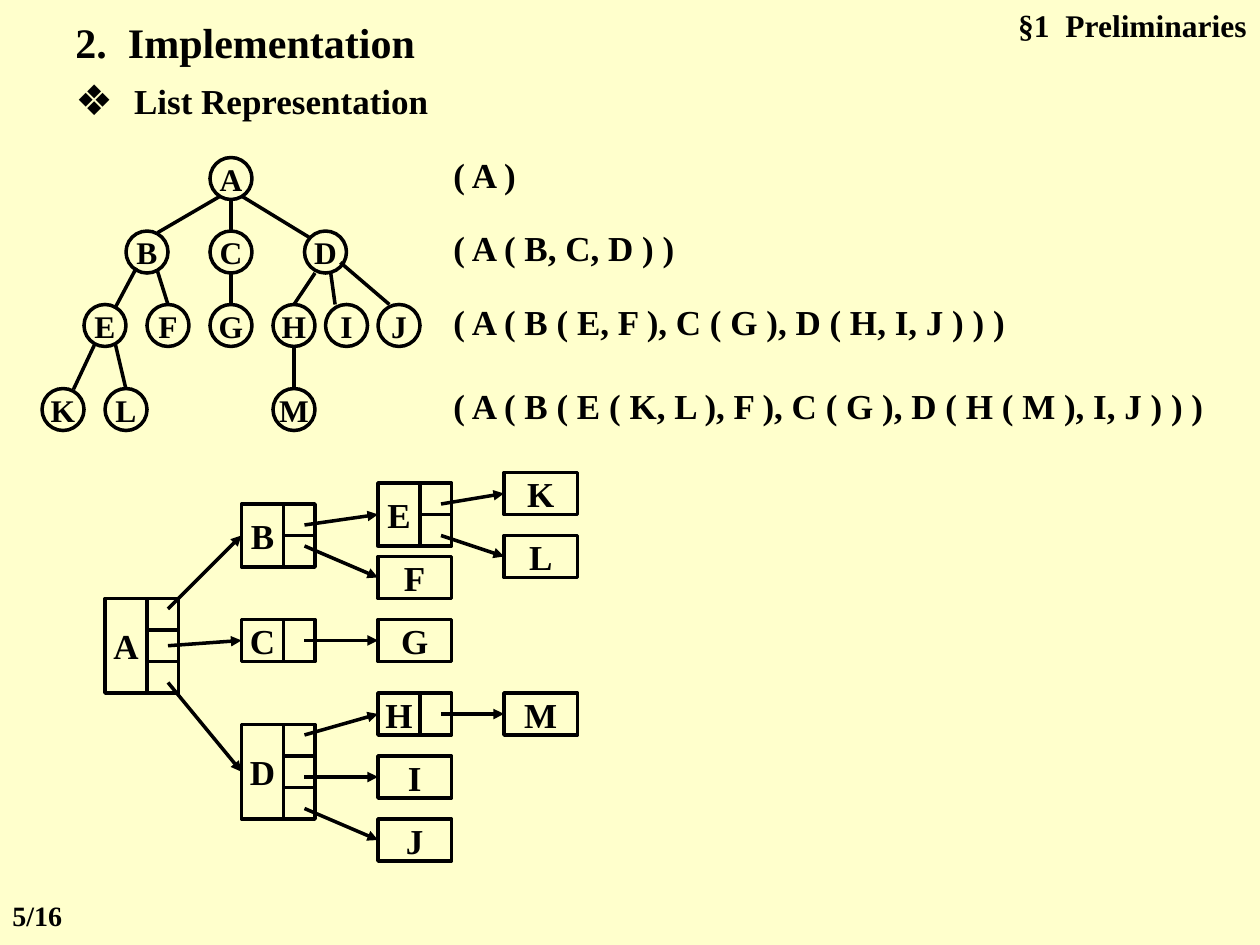
from typing import NamedTuple

from lxml import etree
from pptx import Presentation
from pptx.dml.color import RGBColor
from pptx.enum.shapes import MSO_CONNECTOR, MSO_SHAPE
from pptx.enum.text import MSO_ANCHOR, MSO_AUTO_SIZE, PP_ALIGN
from pptx.oxml.ns import qn
from pptx.util import Pt

STRAIGHT = MSO_CONNECTOR.STRAIGHT
OVAL = MSO_SHAPE.OVAL
RECTANGLE = MSO_SHAPE.RECTANGLE
MIDDLE = MSO_ANCHOR.MIDDLE
FIT_TEXT = MSO_AUTO_SIZE.SHAPE_TO_FIT_TEXT
LEFT, CENTER, RIGHT = PP_ALIGN.LEFT, PP_ALIGN.CENTER, PP_ALIGN.RIGHT

BLACK = RGBColor(0x00, 0x00, 0x00)
CREAM = RGBColor(0xFF, 0xFF, 0xCC)
FONT = "Times New Roman"
LINE_WIDTH = 2
NODE_SIZE = 24
LABEL_WIDTH = 24
CELL_WIDTH = 18
CELL_HEIGHT = 18
LEAF_HEIGHT = 24
LINK_INSET = 12
LEFT_SIDE = 1


class TreeNode(NamedTuple):
    label: str
    left: float
    top: float


class Edge(NamedTuple):
    x1: float
    y1: float
    x2: float
    y2: float


class ListNode(NamedTuple):
    label: str
    left: float
    top: float
    cells: int = 0

    @property
    def height(self) -> float:
        return max(LEAF_HEIGHT, self.cells * CELL_HEIGHT)


class Link(NamedTuple):
    parent: str
    child: str
    start_y: float


class Caption(NamedTuple):
    words: tuple[str, ...]
    left: float
    top: float
    width: float
    height: float
    size: float = 20
    alignment: PP_ALIGN = LEFT
    bullet: str = ""


CAPTIONS = [
    Caption(("2.", "Implementation"), 36, 6, 234, 36, 24),
    Caption(("List Representation",), 36, 42, 234, 36, bullet="❖"),
    Caption(("( A )",), 252, 84, 84, 31.5),
    Caption(("( A ( B, C, D ) )",), 252, 126, 174, 31.5),
    Caption(("( A ( B ( E, F ), C ( G ), D ( H, I, J ) ) )",), 252, 168, 348, 31.5),
    Caption(("( A ( B ( E ( K, L ), F ), C ( G ), D ( H ( M ), I, J ) ) )",),
            252, 216, 451, 31.5),
    Caption(("§1", "Preliminaries"), 546, 0, 173.5, 29, 18, RIGHT),
    Caption(("5/16",), 0, 510, 54, 26.5, 16),
]

TREE_NODES = [
    TreeNode("A", 120, 90),
    TreeNode("B", 72, 132), TreeNode("C", 120, 132), TreeNode("D", 174, 132),
    TreeNode("E", 48, 174), TreeNode("F", 84, 174), TreeNode("G", 120, 174),
    TreeNode("H", 156, 174), TreeNode("I", 186, 174), TreeNode("J", 216, 174),
    TreeNode("K", 24, 222), TreeNode("L", 60, 222), TreeNode("M", 156, 222),
]

TREE_EDGES = [
    Edge(126, 112, 90, 133), Edge(132, 114, 132, 132), Edge(138, 112, 176.5, 135.5),
    Edge(78, 153, 65.5, 176.5), Edge(90, 155, 96, 174), Edge(132, 156, 132, 174),
    Edge(180, 156, 168, 174), Edge(189, 156, 191.5, 174), Edge(194.5, 150, 222.5, 174),
    Edge(54, 197, 42, 222.5), Edge(66, 197, 72, 222.5), Edge(168, 198, 168, 222),
]

LIST_NODES = [
    ListNode("A", 60, 342, 3),
    ListNode("B", 138, 288, 2), ListNode("C", 138, 354, 1), ListNode("D", 138, 414, 3),
    ListNode("E", 216, 276, 2), ListNode("F", 216, 318), ListNode("G", 216, 354),
    ListNode("H", 216, 396, 1), ListNode("I", 216, 432), ListNode("J", 216, 468),
    ListNode("K", 288, 270), ListNode("L", 288, 306), ListNode("M", 288, 396),
]

LINKS = [
    Link("A", "B", 348), Link("A", "C", 369), Link("A", "D", 390),
    Link("B", "E", 300), Link("B", "F", 312), Link("C", "G", 366),
    Link("D", "H", 420), Link("D", "I", 444), Link("D", "J", 462),
    Link("E", "K", 288), Link("E", "L", 306), Link("H", "M", 408),
]


def add_run(paragraph, text: str, size: float):
    run = paragraph.add_run()
    run.text = text
    run.font.name = FONT
    run.font.size = Pt(size)
    run.font.bold = True
    run.font.color.rgb = BLACK
    return run


def add_bullet(paragraph, character: str) -> None:
    properties = paragraph._p.get_or_add_pPr()
    properties.set("marL", str(Pt(33.5)))
    properties.set("indent", str(-Pt(33.5)))
    etree.SubElement(properties, qn("a:buSzPct"), val="120000")
    etree.SubElement(properties, qn("a:buFont"), typeface="Arial")
    etree.SubElement(properties, qn("a:buChar"), char=character)


def add_caption(slide, caption: Caption) -> None:
    shape = slide.shapes.add_textbox(
        Pt(caption.left), Pt(caption.top), Pt(caption.width), Pt(caption.height))
    frame = shape.text_frame
    frame.word_wrap = True
    frame.auto_size = FIT_TEXT
    paragraph = frame.paragraphs[0]
    paragraph.alignment = caption.alignment
    if caption.bullet:
        add_bullet(paragraph, caption.bullet)
    for index, word in enumerate(caption.words):
        if index:
            gap = add_run(paragraph, " ", caption.size)
            gap.font._element.set("spc", str(int(caption.size * 25)))
        add_run(paragraph, word, caption.size)


def add_box(group, kind: MSO_SHAPE, left: float, top: float, width: float,
            height: float, label: str = "", size: float = 20):
    shape = group.shapes.add_shape(kind, Pt(left), Pt(top), Pt(width), Pt(height))
    shape.shadow.inherit = False
    shape.fill.background()
    shape.line.color.rgb = BLACK
    shape.line.width = Pt(LINE_WIDTH)
    if label:
        frame = shape.text_frame
        frame.word_wrap = False
        frame.vertical_anchor = MIDDLE
        paragraph = frame.paragraphs[0]
        paragraph.alignment = CENTER
        add_run(paragraph, label, size)
    return shape


def add_line(group, edge: Edge):
    connector = group.shapes.add_connector(STRAIGHT, *(Pt(value) for value in edge))
    connector.line.color.rgb = BLACK
    connector.line.width = Pt(LINE_WIDTH)
    etree.SubElement(connector._element.spPr, qn("a:effectLst"))
    return connector


def add_list_node(group, node: ListNode):
    for index in range(node.cells):
        cell_height = node.height / node.cells
        add_box(group, RECTANGLE, node.left + LABEL_WIDTH,
                node.top + index * cell_height, CELL_WIDTH, cell_height)
    width = LABEL_WIDTH if node.cells else LABEL_WIDTH + CELL_WIDTH
    return add_box(group, RECTANGLE, node.left, node.top, width, node.height, node.label)


def add_link(group, start_y: float, parent: ListNode, child: ListNode, target) -> None:
    start_x = parent.left + LABEL_WIDTH + LINK_INSET
    connector = add_line(
        group, Edge(start_x, start_y, child.left, child.top + child.height / 2))
    connector.end_connect(target, LEFT_SIDE)
    etree.SubElement(connector.line._get_or_add_ln(), qn("a:tailEnd"), type="triangle")


def main() -> None:
    presentation = Presentation()
    presentation.slide_width = Pt(720)
    presentation.slide_height = Pt(540)
    slide = presentation.slides.add_slide(presentation.slide_layouts[6])
    slide.background.fill.solid()
    slide.background.fill.fore_color.rgb = CREAM

    for caption in CAPTIONS:
        add_caption(slide, caption)

    tree = slide.shapes.add_group_shape()
    for node in TREE_NODES:
        add_box(tree, OVAL, node.left, node.top, NODE_SIZE, NODE_SIZE, node.label, 18)
    for edge in TREE_EDGES:
        add_line(tree, edge)

    linked_list = slide.shapes.add_group_shape()
    nodes = {node.label: node for node in LIST_NODES}
    boxes = {node.label: add_list_node(linked_list, node) for node in LIST_NODES}
    for link in LINKS:
        add_link(linked_list, link.start_y, nodes[link.parent], nodes[link.child],
                 boxes[link.child])

    presentation.save("out.pptx")


if __name__ == "__main__":
    main()
